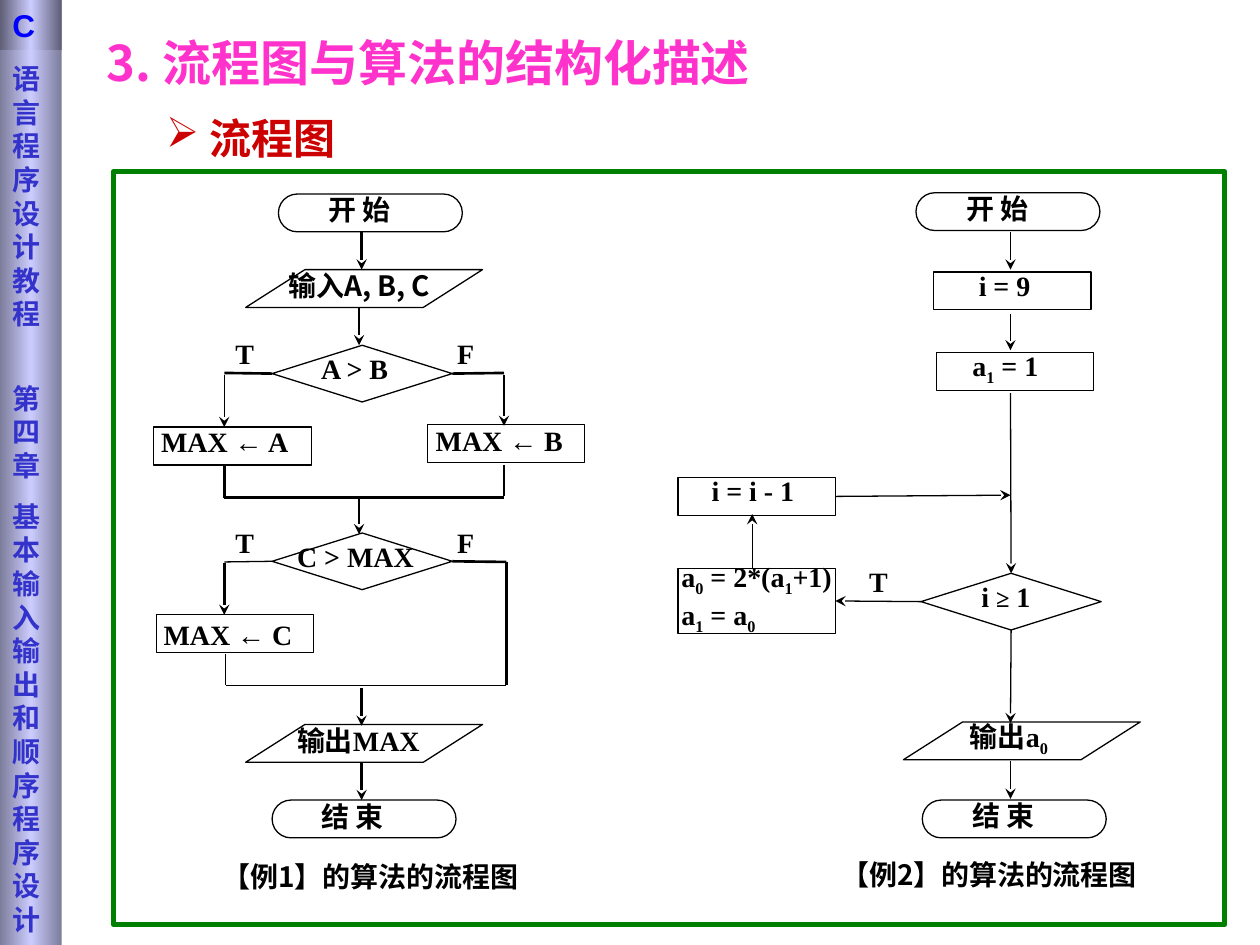
from copy import deepcopy

from lxml import etree
from pptx import Presentation
from pptx.dml.color import RGBColor
from pptx.enum.shapes import MSO_CONNECTOR, MSO_SHAPE
from pptx.enum.text import MSO_ANCHOR, PP_ALIGN
from pptx.oxml.ns import qn
from pptx.util import Inches, Pt

BOX = MSO_SHAPE.RECTANGLE
PILL = MSO_SHAPE.ROUNDED_RECTANGLE
TEST = MSO_SHAPE.FLOWCHART_DECISION
SLANT = MSO_SHAPE.PARALLELOGRAM
STRAIGHT = MSO_CONNECTOR.STRAIGHT
TOP, MIDDLE = MSO_ANCHOR.TOP, MSO_ANCHOR.MIDDLE
LEFT, CENTER, JUST = PP_ALIGN.LEFT, PP_ALIGN.CENTER, PP_ALIGN.JUSTIFY

WHITE = RGBColor(0xFF, 0xFF, 0xFF)
BLACK = RGBColor(0, 0, 0)
GREEN = RGBColor(0, 0x80, 0)
PINK = RGBColor(0xFF, 0x33, 0xCC)
RED = RGBColor(0xCC, 0, 0)
BLUE = RGBColor(0, 0, 0xFF)
INDIGO = RGBColor(0x33, 0x33, 0xCC)
LILAC = RGBColor(0xCC, 0xCC, 0xFF)
SLATE = RGBColor(0x7C, 0x7C, 0x9B)
DUSK = RGBColor(0x5E, 0x5E, 0x76)

SANS, SERIF = "Noto Sans CJK SC", "Times New Roman"
COLS, ROWS = 100, 75  # grid of the slide, ten cells to the inch
THIN, BOLD = 0.75, 1.5
SIZES = {BOX: (12.5, 3), PILL: (14.6, 3), TEST: (14.3, 4.5), SLANT: (18.8, 3)}
ROUND = {PILL: 0.5, SLANT: 1.567}
NEAR = Inches(0.012)


def cells(*nums):
    return [Inches(n / 10) for n in nums]


def add_run(para, text, font, size, color, sub=False):
    run = para.add_run()
    run.text = text
    run.font.name, run.font.size = font, Pt(size)
    run.font.bold, run.font.color.rgb = True, color
    props = run._r.get_or_add_rPr()
    face = SANS if font == SERIF else font
    etree.SubElement(props, qn("a:ea")).set("typeface", face)
    if sub:
        props.set("baseline", "-25000")


def write(frame, lines, font=SERIF, size=16, color=BLACK, align=JUST):
    """Fill a frame; the letter after an underscore is set as a subscript."""
    frame.word_wrap = True
    for n, line in enumerate(lines):
        para = frame.add_paragraph() if n else frame.paragraphs[0]
        para.alignment = align
        head, *rest = line.split("_")
        parts = [(head, False)]
        for part in rest:
            parts += [(part[0], True), (part[1:], False)]
        for text, sub in parts:
            if text == "i ≥ 1":
                for bit, pts in (("i ", size), ("≥", 14), (" 1", size)):
                    add_run(para, bit, font, pts, color)
            elif text:
                add_run(para, text, font, size, color, sub)


def add_text(slide, place, lines, anchor=TOP, **style):
    frame = slide.shapes.add_textbox(*cells(*place)).text_frame
    frame.vertical_anchor = anchor
    write(frame, lines, **style)
    return frame


def add_box(slide, kind, place, line=BLACK, width=THIN):
    shape = slide.shapes.add_shape(kind, *cells(*place))
    shape.shadow.inherit = False
    shape.fill.solid()
    shape.fill.fore_color.rgb = WHITE
    shape.line.color.rgb = line
    shape.line.width = Pt(width)
    if kind in ROUND:
        shape.adjustments[0] = ROUND[kind]
    return shape


def add_band(slide, high, edge):
    """Side band shaded from dark edges to a light middle."""
    band = add_box(slide, BOX, (0, 0, 4.9, high))
    band.line.fill.background()
    band.fill.gradient()
    band.fill.gradient_angle = 0
    stops = band._element.spPr.find(qn("a:gradFill")).find(qn("a:gsLst"))
    stops.insert(1, deepcopy(stops[0]))
    for stop, color, at in zip(band.fill.gradient_stops,
                               (edge, LILAC, edge), (0, 0.5, 1)):
        stop.color.rgb, stop.position = color, at
    band.text_frame.vertical_anchor = TOP
    return band.text_frame


def add_node(slide, kind, x, y, lines, dx, dy, wide, font=SERIF, size=None):
    """Flowchart symbol with its label set off from the symbol's corner."""
    w, h = size or SIZES[kind]
    shape = add_box(slide, kind, (x, y, w, h))
    high = 4.5 if len(lines) == 1 else 7.5
    add_text(slide, (x + dx, y + dy, wide, high), lines, font=font)
    return shape


def add_line(slide, nodes, x1, y1, x2, y2, width=THIN, arrow=True):
    """Straight line, joined to any box or test whose side middle it meets."""
    ends = cells(x1, y1, x2, y2)
    link = slide.shapes.add_connector(STRAIGHT, *ends)
    link.line.color.rgb, link.line.width = BLACK, Pt(width)
    if arrow:
        tail = etree.SubElement(link.line._get_or_add_ln(), qn("a:tailEnd"))
        tail.set("type", "stealth")
    etree.SubElement(link._element.spPr, qn("a:effectLst"))
    for node in nodes:
        x, y, w, h = node.left, node.top, node.width, node.height
        sides = ((x + w / 2, y), (x, y + h / 2),
                 (x + w / 2, y + h), (x + w, y + h / 2))
        for n, (sx, sy) in enumerate(sides):
            for (ex, ey), join in ((ends[:2], link.begin_connect),
                                   (ends[2:], link.end_connect)):
                if abs(sx - ex) < NEAR and abs(sy - ey) < NEAR:
                    join(node, n)


def add_chart(slide, nodes, lines, marks, title, place):
    made = [add_node(slide, *node) for node in nodes]
    # Only boxes and tests have their join points at the side middles
    solid = [m for m in made if m.auto_shape_type in (BOX, TEST)]
    for line in lines:
        add_line(slide, solid, *line)
    for mark, x, y in marks:
        add_text(slide, (x, y, 6.3, 4.5), [mark])
    add_text(slide, (*place, 37.6, 4.5), [title], font=SANS, align=CENTER)


def add_frame(slide):
    # Side band
    side = add_band(slide, ROWS, SLATE)
    side.margin_top = Inches(0.49)
    write(side, ["语言程序设计教程", "第四章", "基本输入输出和顺序程序设计"],
          font="DejaVu Sans", color=INDIGO, align=LEFT)
    for para, gap in zip(side.paragraphs[1:], (29, 10)):
        para.space_before = Pt(gap)
    write(add_band(slide, 4, DUSK), ["C"], "Arial", 18, BLUE, LEFT)
    # Headings
    add_text(slide, (7.5, 2.1, 60.9, 5.7), ["3. 流程图与算法的结构化描述"],
             font=SANS, size=28, color=PINK, align=LEFT)
    sub = add_text(slide, (12.2, 8.4, 33.9, 5), [" 流程图"], MIDDLE,
                   size=24, color=RED, align=LEFT)
    props = sub.paragraphs[0]._p.get_or_add_pPr()
    tint = etree.SubElement(props, qn("a:buClr"))
    etree.SubElement(tint, qn("a:srgbClr")).set("val", str(RED))
    etree.SubElement(props, qn("a:buChar")).set("char", "➢")
    # Panel
    add_box(slide, BOX, (9, 13.6, 88.2, 59.8), GREEN, 3)


def add_max(slide):
    """Example 1: the largest of three numbers."""
    mid, west, east = 28.7, 17.8, 40
    nodes = [
        (PILL, 22.1, 15.4, ["开 始"], 3, -0.6, 10.4, SANS),
        (SLANT, 19.5, 21.4, ["输入A, B, C"], 2.4, -0.6, 16.7, SANS),
        (TEST, 21.6, 27.4, ["A > B"], 2.9, 0, 10.4),
        (BOX, 12.2, 33.9, ["MAX ← A"], -0.4, -0.7, 13.9),
        (BOX, 33.9, 33.7, ["MAX ← B"], -0.3, -0.6, 13.9),
        (TEST, 21.6, 42.3, ["C > MAX"], 1, 0, 14.6),
        (BOX, 12.4, 48.8, ["MAX ← C"], -0.4, -0.3, 13.9),
        (SLANT, 19.5, 57.5, ["输出MAX"], 3.1, -0.6, 16.7),
        (PILL, 21.6, 63.5, ["结 束"], 2.9, -0.5, 10.4, SANS),
    ]
    lines = [(x, y, x, y + 3, BOLD) for x, y in
             ((mid, 18.4), (28.5, 24.4), (28.5, 39.4), (mid, 54.6), (mid, 60.5))]
    lines += [
        # First test and its merge
        (21.6, 29.6, west, 29.6, BOLD, False), (west, 29.8, west, 33.9),
        (35.9, 29.6, east, 29.6, BOLD, False), (east, 29.8, east, 33.8, BOLD),
        (west, 37, west, 39.5, BOLD, False), (east, 36.9, east, 39.4, BOLD, False),
        (west, 39.5, east, 39.5, BOLD, False),
        # Second test and its merge
        (21.6, 44.6, west, 44.6, THIN, False), (west, 44.7, west, 48.8, BOLD),
        (35.9, 44.6, 40.2, 44.6, BOLD, False), (40.2, 44.6, 40.2, 54.4, BOLD, False),
        (17.9, 51.9, 17.9, 54.4, THIN, False), (17.9, 54.4, 40.2, 54.4, THIN, False),
    ]
    marks = [(mark, x, y) for y in (26.2, 41.2)
             for mark, x in (("T", 17.7), ("F", 35.3))]
    add_chart(slide, nodes, lines, marks, "【例1】的算法的流程图", (10.6, 67.7))


def add_loop(slide):
    """Example 2: counting back through a loop."""
    mid = 80.2
    nodes = [
        (PILL, 72.7, 15.3, ["开 始"], 3, -0.6, 10.4, SANS),
        (BOX, 74.1, 21.6, ["i = 9"], 2.6, -0.8, 9.7),
        (BOX, 74.3, 28, ["a_1 = 1"], 1.9, -0.8, 9.7),
        (TEST, 73.1, 45.5, ["i ≥ 1"], 3.8, 0, 10.4),
        (BOX, 53.8, 37.9, ["i = i - 1"], 1.7, -0.8, 9.7),
        (BOX, 53.8, 45.1, ["a_0 = 2*(a_1+1)", "a_1 = a_0"],
         -0.7, -1.2, 14.6, SERIF, (12.5, 5.2)),
        (SLANT, 71.7, 57.3, ["输出a_0"], 4.3, -0.7, 16.7),
        (PILL, 73.2, 63.5, ["结 束"], 3, -0.6, 10.4, SANS),
    ]
    lines = [(mid, top, mid, end) for top, end in
             ((18.4, 21.4), (24.9, 27.8), (31.2, 45.4), (50, 57.4), (60.4, 63.4))]
    lines += [(66.3, 39.3, mid, 39.3), (73.1, 47.7, 66.3, 47.7),
              (59.7, 45.2, 59.7, 40.8)]
    add_chart(slide, nodes, lines, [("T", 68, 44.3)],
              "【例2】的算法的流程图", (59.7, 67.6))


def main():
    deck = Presentation()
    deck.slide_width, deck.slide_height = cells(COLS, ROWS)
    slide = deck.slides.add_slide(deck.slide_layouts[6])
    add_frame(slide)
    add_loop(slide)
    add_max(slide)
    deck.save("out.pptx")


if __name__ == "__main__":
    main()
